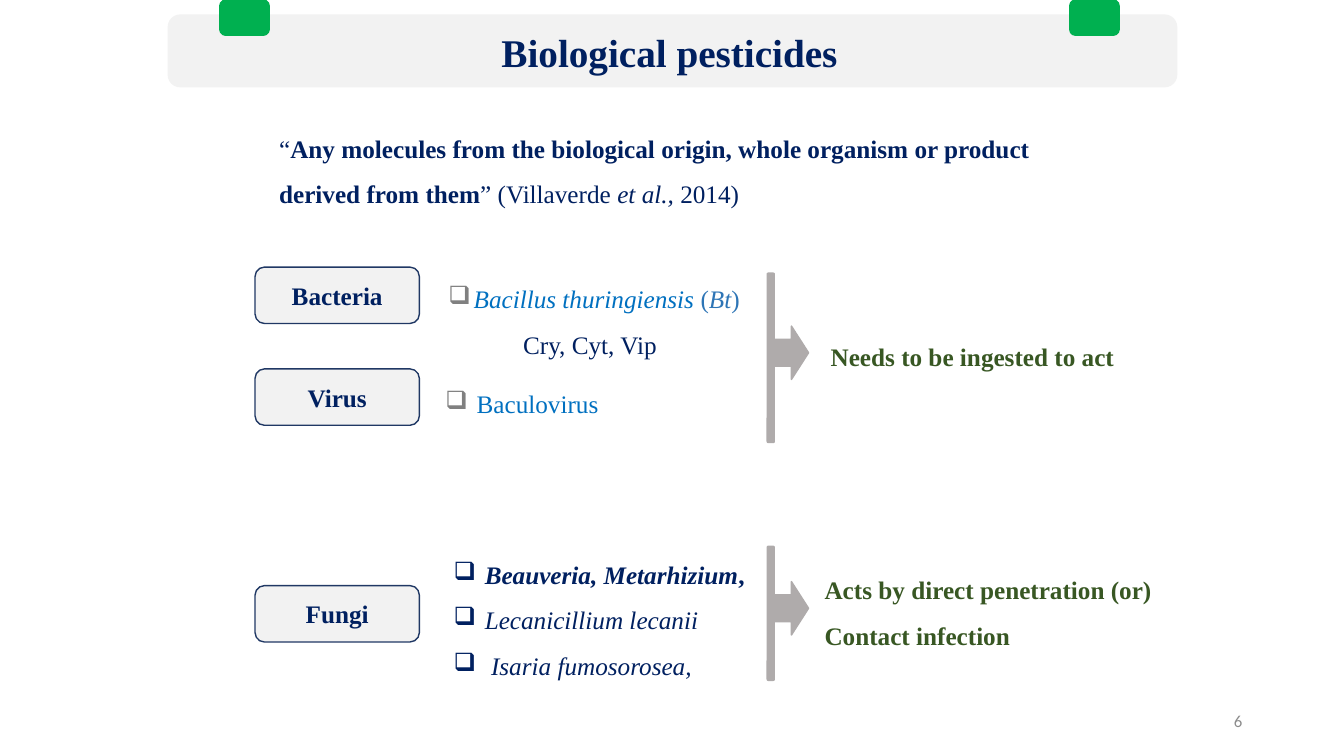
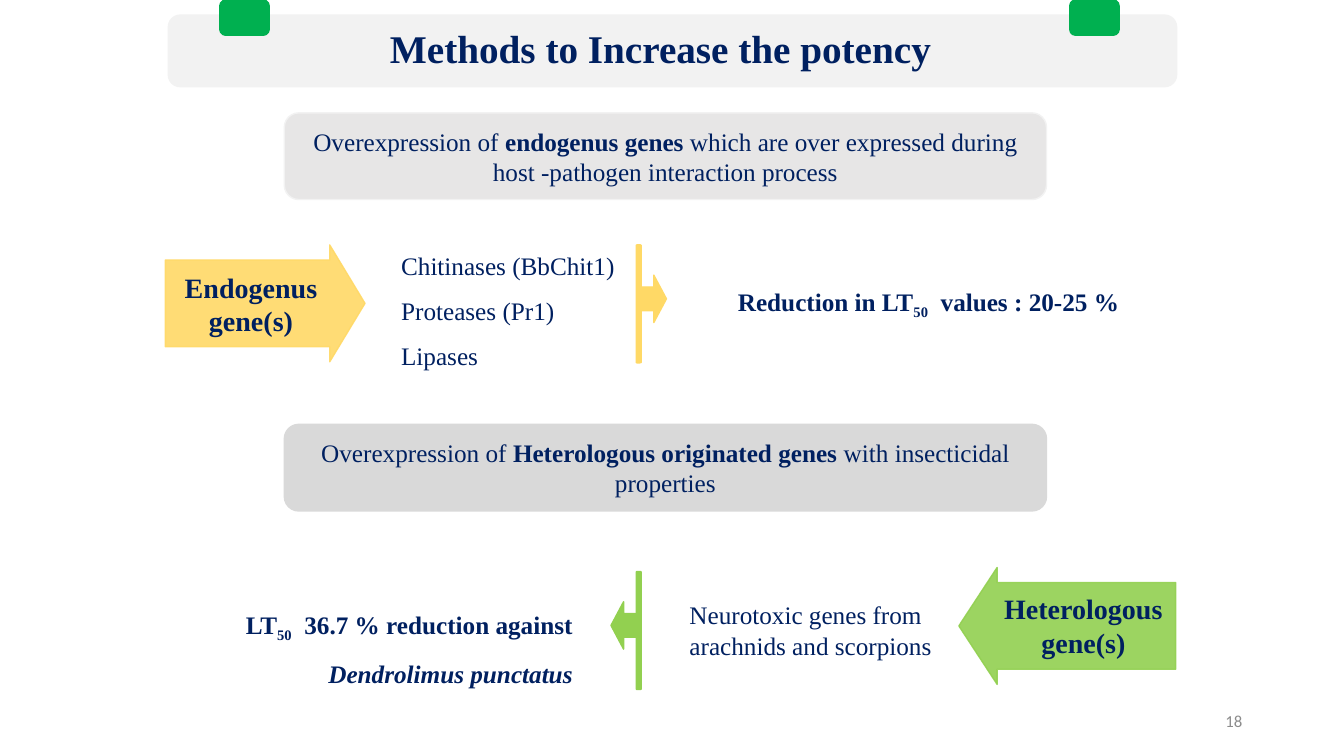
import pptx
import pptx.util
from lxml import etree
from pptx.dml.color import RGBColor
from pptx.enum.shapes import MSO_SHAPE
from pptx.enum.text import MSO_ANCHOR, MSO_AUTO_SIZE, PP_ALIGN
from pptx.oxml.ns import qn

Inches = pptx.util.Inches
Pt = pptx.util.Pt

NAVY = RGBColor(0x00, 0x20, 0x60)
OUTLINE = RGBColor(0x20, 0x38, 0x64)
BLUE = RGBColor(0x00, 0x70, 0xC0)
STEEL = RGBColor(0x2E, 0x75, 0xB6)
GREEN = RGBColor(0x00, 0xB0, 0x50)
LIME = RGBColor(0x92, 0xD0, 0x50)
FOREST = RGBColor(0x38, 0x57, 0x23)
YELLOW = RGBColor(0xFF, 0xD9, 0x66)
PALE = RGBColor(0xF2, 0xF2, 0xF2)
LIGHT = RGBColor(0xE7, 0xE6, 0xE6)
SILVER = RGBColor(0xD9, 0xD9, 0xD9)
TAUPE = RGBColor(0xAF, 0xAB, 0xAB)
GRAY = RGBColor(0x80, 0x80, 0x80)
NUMBER_GRAY = RGBColor(0x8C, 0x8C, 0x8C)

SERIF = "Times New Roman"
BOLD = {"bold": True}
ITALIC = {"italic": True}
SUBSCRIPT = {"baseline": -25000}


def inches(box):
    return [Inches(length) for length in box]


def add_bullet(para, color, hang):
    properties = para._p.get_or_add_pPr()
    properties.set("marL", str(Inches(hang)))
    properties.set("indent", str(-Inches(hang)))
    holder = etree.SubElement(properties, qn("a:buClr"))
    etree.SubElement(holder, qn("a:srgbClr"), val=str(color))
    etree.SubElement(properties, qn("a:buChar"), char="❑")


def write(frame, paragraphs, size=18, color=NAVY, font=SERIF, bold=False,
          align=PP_ALIGN.LEFT, spacing=1.0, anchor=MSO_ANCHOR.TOP,
          bullet=None, hang=0.31):
    """Fill a frame; each paragraph is a string or a list of (text, format) spans."""
    frame.word_wrap = True
    frame.auto_size = MSO_AUTO_SIZE.NONE
    frame.vertical_anchor = anchor
    for index, spans in enumerate(paragraphs):
        para = frame.paragraphs[0] if index == 0 else frame.add_paragraph()
        para.alignment = align
        para.line_spacing = spacing
        if bullet is not None:
            add_bullet(para, bullet, hang)
        if isinstance(spans, str):
            spans = [(spans, {})]
        for text, style in spans:
            span = para.add_run()
            span.text = text
            span.font.name = font
            span.font.size = Pt(size)
            span.font.bold = style.get("bold", bold)
            span.font.italic = style.get("italic", False)
            span.font.color.rgb = style.get("color", color)
            if "baseline" in style:
                span._r.get_or_add_rPr().set("baseline", str(style["baseline"]))


def add_text(page, box, paragraphs, **style):
    write(page.shapes.add_textbox(*inches(box)).text_frame, paragraphs, **style)


def paint(shape, fill, line=None, opacity=None):
    shape.shadow.inherit = False
    shape.fill.solid()
    shape.fill.fore_color.rgb = fill
    shape.line.color.rgb = line or fill
    shape.line.width = Pt(1)
    if opacity:
        for color in shape.element.spPr.iter(qn("a:srgbClr")):
            etree.SubElement(color, qn("a:alpha"), val=str(opacity * 1000))


def add_block(page, box, fill, line=None, kind=MSO_SHAPE.ROUNDED_RECTANGLE):
    shape = page.shapes.add_shape(kind, *inches(box))
    paint(shape, fill, line)
    return shape


def add_panel(page, box, spans, fill, line=None, **style):
    """Rounded box with centred text."""
    panel = add_block(page, box, fill, line)
    write(panel.text_frame, [spans], align=PP_ALIGN.CENTER,
          anchor=MSO_ANCHOR.MIDDLE, **style)


def add_bracket(page, bar, arrow_size, color, leftward=False):
    """Upright bar with an arrow leaving one side, just above its middle."""
    left, top, width, height = bar
    arrow_width, arrow_height = arrow_size
    add_block(page, bar, color)
    arrow_left = left - arrow_width if leftward else left + width
    arrow_top = top + (height - arrow_height) / 2 - 0.05
    kind = MSO_SHAPE.LEFT_ARROW if leftward else MSO_SHAPE.RIGHT_ARROW
    add_block(page, (arrow_left, arrow_top, *arrow_size), color, kind=kind)


def add_gene_arrow(page, box, head, color, leftward=False):
    left, top, width, height = box
    neck, shaft = width - head, 0.15
    outline = [(0, shaft), (neck, shaft), (neck, 0), (width, height / 2),
               (neck, height), (neck, height - shaft), (0, height - shaft)]
    points = [(Inches(left + (width - x if leftward else x)), Inches(top + y))
              for x, y in outline]
    builder = page.shapes.build_freeform(*points[0], scale=1.0)
    builder.add_line_segments(points[1:], close=True)
    paint(builder.convert_to_shape(), color, opacity=90)


def add_page(deck, title, title_at, number):
    """Title-only slide with the header band, its two tabs and a page number."""
    page = deck.slides.add_slide(deck.slide_layouts[5])
    add_block(page, (1.67, 0.15, 10, 0.71), PALE)
    for left in (2.18, 10.61):
        add_block(page, (left, 0, 0.49, 0.35), GREEN)
    heading = page.shapes.title
    heading.left, heading.top, heading.width, heading.height = inches((*title_at, 9, 0.56))
    write(heading.text_frame, [title], size=28, bold=True,
          align=PP_ALIGN.CENTER, spacing=0.9)
    page.shapes.element.append(heading.element)
    add_text(page, (9.42, 6.95, 3, 0.4), [number], size=12, font="Calibri",
             color=NUMBER_GRAY, align=PP_ALIGN.RIGHT, anchor=MSO_ANCHOR.MIDDLE)
    return page


def build_pesticides(deck):
    page = add_page(deck, "Biological pesticides", (2.14, 0.28), "6")
    add_text(page, (2.67, 1.12, 8.47, 1.01), [[
        ("“", {}),
        ("Any molecules from the biological origin, whole organism or product "
         "derived from them", BOLD),
        ("” (Villaverde ", {}), ("et al., ", ITALIC), ("2014)", {})]], spacing=1.5)

    for name, top in (("Bacteria", 2.65), ("Virus", 3.66), ("Fungi", 5.81)):
        add_panel(page, (2.53, top, 1.63, 0.56), name, PALE, OUTLINE, bold=True)

    add_text(page, (4.35, 2.61, 3.2, 0.56), [[
        ("Bacillus thuringiensis ", ITALIC), ("(", {"color": STEEL}),
        ("Bt", {"color": STEEL, "italic": True}), (")", {"color": STEEL})]],
        color=BLUE, spacing=1.5, bullet=GRAY, hang=0.25)
    add_text(page, (5.09, 3.07, 2, 0.56), ["Cry, Cyt, Vip"], spacing=1.5)
    add_text(page, (4.32, 3.65, 2, 0.56), ["Baculovirus"],
             color=BLUE, spacing=1.5, bullet=GRAY)
    add_text(page, (4.4, 5.35, 3.2, 1.47), [
        [("Beauveria, Metarhizium", {"bold": True, "italic": True}), (",", BOLD)],
        [("Lecanicillium lecanii", ITALIC)],
        [(" ", {}), ("Isaria fumosorosea,", ITALIC)]], spacing=1.5, bullet=NAVY)

    for top, height in ((2.71, 1.68), (5.42, 1.33)):
        add_bracket(page, (7.61, top, 0.07, height), (0.34, 0.53), TAUPE)
    add_text(page, (8.14, 3.19, 3.74, 0.56), ["Needs to be ingested to act"],
             color=FOREST, bold=True, spacing=1.5)
    add_text(page, (8.08, 5.5, 3.74, 1.01),
             ["Acts by direct penetration (or)", "Contact infection"],
             color=FOREST, bold=True, spacing=1.5)


def build_potency(deck):
    page = add_page(deck, "Methods to Increase the potency", (2.05, 0.24), "18")
    add_panel(page, (2.82, 1.12, 7.56, 0.86), [
        ("Overexpression of ", {}), ("endogenus genes ", BOLD),
        ("which are over expressed during host -pathogen interaction process", {})],
        LIGHT, PALE)
    add_panel(page, (2.82, 4.21, 7.56, 0.86), [
        ("Overexpression of ", {}), ("Heterologous originated genes ", BOLD),
        ("with insecticidal properties", {})], SILVER)

    add_gene_arrow(page, (1.64, 2.43, 1.98, 1.16), 0.35, YELLOW)
    add_gene_arrow(page, (9.51, 5.63, 2.15, 1.16), 0.38, LIME, leftward=True)
    for name, box in (("Endogenus", (1.64, 2.63, 1.7, 0.77)),
                      ("Heterologous", (9.82, 5.82, 1.85, 0.77))):
        add_text(page, box, [name, "gene(s)"], size=20, bold=True,
                 align=PP_ALIGN.CENTER)

    add_text(page, (3.88, 2.28, 2.79, 1.47),
             ["Chitinases (BbChit1)", "Proteases (Pr1)", "Lipases"], spacing=1.5)
    add_bracket(page, (6.31, 2.43, 0.05, 1.17), (0.25, 0.47), YELLOW)
    add_text(page, (7.22, 2.79, 4.08, 0.4), [[
        ("Reduction in LT", {}), ("50", SUBSCRIPT), ("  values : 20-25 %", {})]],
        bold=True)

    add_text(page, (6.74, 5.9, 2.77, 0.71),
             ["Neurotoxic genes from", "arachnids and scorpions"])
    add_bracket(page, (6.31, 5.67, 0.05, 1.17), (0.25, 0.47), LIME, leftward=True)
    add_text(page, (2.28, 5.82, 3.5, 1.01), [
        [("LT", {}), ("50", SUBSCRIPT), ("  36.7 % reduction against", {})],
        [("Dendrolimus punctatus", ITALIC)]],
        bold=True, align=PP_ALIGN.RIGHT, spacing=1.5)


def main():
    deck = pptx.Presentation()
    deck.slide_width, deck.slide_height = inches((13.33, 7.5))
    build_pesticides(deck)
    build_potency(deck)
    deck.save("out.pptx")


if __name__ == "__main__":
    main()
